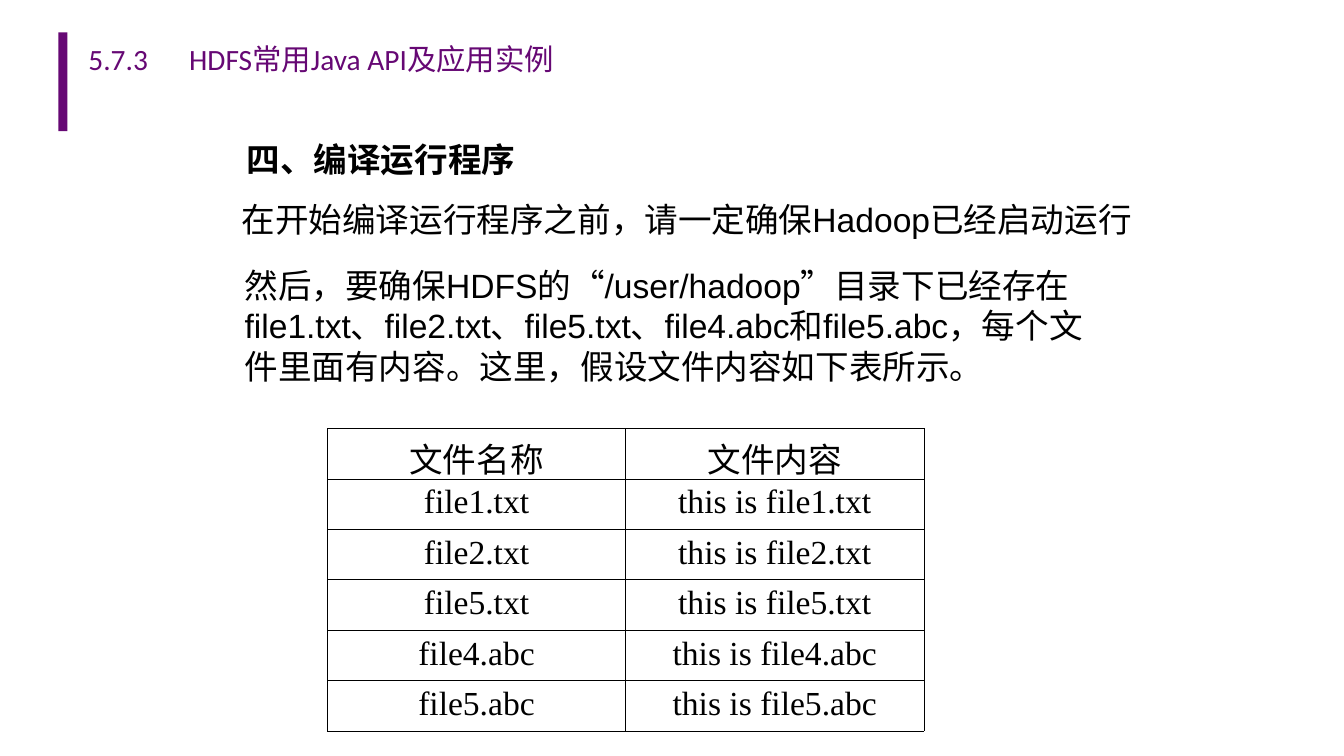
from dataclasses import dataclass

from lxml.etree import SubElement
from pptx import Presentation
from pptx.dml.color import RGBColor
from pptx.enum.shapes import MSO_SHAPE
from pptx.enum.text import MSO_ANCHOR, MSO_AUTO_SIZE, PP_ALIGN
from pptx.oxml.ns import qn
from pptx.slide import Slide
from pptx.table import _Cell
from pptx.text.text import _Paragraph
from pptx.util import Emu, Pt

PURPLE = "660874"
BLACK = "000000"


@dataclass
class Label:
    """A block of text with its box in px."""
    x: int
    y: int
    w: int
    h: int
    text: str
    size: int = 24
    font: str = "Arial"
    color: str = BLACK
    bold: bool = False
    anchor: MSO_ANCHOR = MSO_ANCHOR.TOP
    fit: MSO_AUTO_SIZE = MSO_AUTO_SIZE.SHAPE_TO_FIT_TEXT


LABELS = [
    Label(78, 8, 1167, 100, "5.7.3\tHDFS常用Java API及应用实例", 21, "Calibri", PURPLE,
          anchor=MSO_ANCHOR.MIDDLE, fit=MSO_AUTO_SIZE.NONE),
    Label(235, 133, 300, 50, "四、编译运行程序", bold=True),
    Label(230, 192, 940, 50, "在开始编译运行程序之前，请一定确保Hadoop已经启动运行"),
    Label(233, 258, 867, 130,
          "然后，要确保HDFS的“/user/hadoop”目录下已经存在file1.txt、file2.txt、"
          "file5.txt、file4.abc和file5.abc，每个文件里面有内容。"
          "这里，假设文件内容如下表所示。"),
]
FILES = ["file1.txt", "file2.txt", "file5.txt", "file4.abc", "file5.abc"]
ROWS = [("文件名称", "文件内容")] + [(name, f"this is {name}") for name in FILES]
COL_W, ROW_H = 296, 50


def px(n: int) -> Emu:
    """Turn px, 100 to the inch, into EMU."""
    return Emu(n * 9144)


def rgb(color: str) -> RGBColor:
    """Turn a hex string into a colour."""
    return RGBColor.from_string(color)


def set_font(p: _Paragraph, name: str, size: int, color: str, bold: bool = False) -> None:
    """Set the font of a whole paragraph."""
    p.font.name = name
    p.font.size = Pt(size)
    p.font.bold = bold
    p.font.color.rgb = rgb(color)


def add_label(s: Slide, label: Label) -> None:
    """Add a text box."""
    sp = s.shapes.add_textbox(px(label.x), px(label.y), px(label.w), px(label.h))
    tf = sp.text_frame
    tf.word_wrap = True
    tf.auto_size = label.fit
    tf.vertical_anchor = label.anchor
    p = tf.paragraphs[0]
    p.text = label.text
    set_font(p, label.font, label.size, label.color, label.bold)


def set_borders(cell: _Cell) -> None:
    """Draw a thin black line on the four sides of a cell."""
    tcPr = cell._tc.get_or_add_tcPr()
    for side in ("lnL", "lnR", "lnT", "lnB"):
        ln = SubElement(tcPr, qn(f"a:{side}"), w=str(Pt(0.45)))
        fill = SubElement(ln, qn("a:solidFill"))
        SubElement(fill, qn("a:srgbClr"), val=BLACK)


def add_file_table(s: Slide) -> None:
    """Add the table of file names and contents."""
    table = s.shapes.add_table(len(ROWS), 2, px(325), px(425),
                               px(2 * COL_W), px(len(ROWS) * ROW_H)).table
    table.first_row = False
    table.horz_banding = False
    for i, row in enumerate(ROWS):
        for j, text in enumerate(row):
            cell = table.cell(i, j)
            set_borders(cell)
            cell.fill.background()
            cell.margin_left = cell.margin_right = px(8)
            p = cell.text_frame.paragraphs[0]
            p.text = text
            p.alignment = PP_ALIGN.CENTER
            set_font(p, "Times New Roman", 24, BLACK)


def main() -> None:
    """Build and save the slide."""
    prs = Presentation()
    prs.slide_width, prs.slide_height = px(1334), px(750)
    s = prs.slides.add_slide(prs.slide_layouts[6])
    bar = s.shapes.add_shape(MSO_SHAPE.RECTANGLE, px(58), px(32), px(9), px(98))
    bar.shadow.inherit = False
    bar.fill.solid()
    bar.fill.fore_color.rgb = rgb(PURPLE)
    bar.line.fill.background()
    for label in LABELS:
        add_label(s, label)
    add_file_table(s)
    prs.save("out.pptx")


if __name__ == "__main__":
    main()
